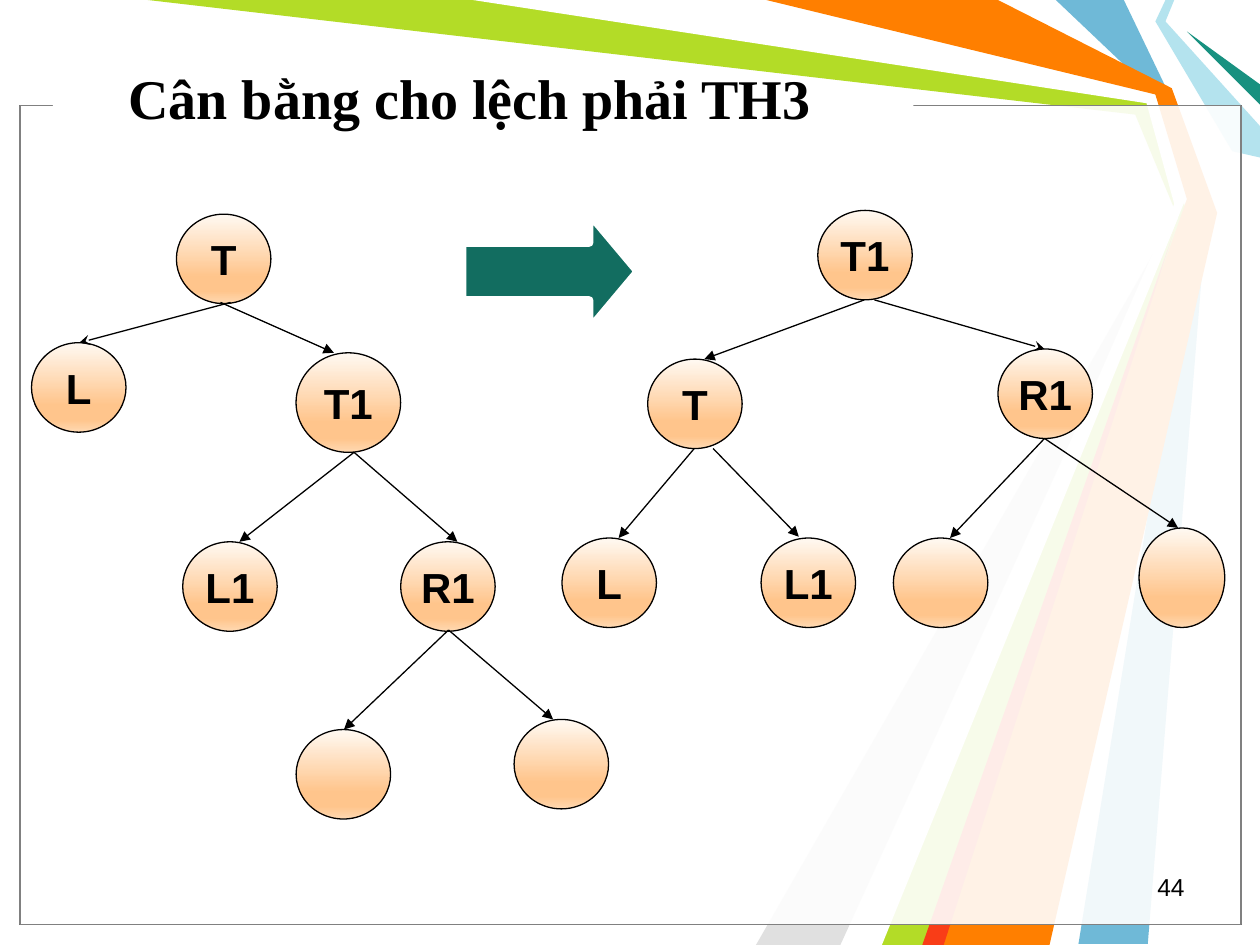
from lxml import etree
from pptx import Presentation
from pptx import util as u
from pptx.dml import color
from pptx.enum import shapes, text
from pptx.oxml import ns

SCALE = 9144
BLACK, WHITE = "000000", "FFFFFF"
NODE_STOPS = [(0, "FFF9F2"), (70, "FFC58C"), (86, "FFC58C"), (100, "FFD9B2")]

RIBBONS = [
    ("6FB9D7", [(892, 0), (929, 77), (958, 167), (911, 749), (856, 749),
                (950, 167), (917, 75), (838, 0)]),
    ("B3DC27", [(117, 0), (383, 0), (914, 78), (942, 169), (742, 750),
                (692, 750), (935, 173), (901, 91)]),
    ("E0E0E0", [(667, 750), (927, 181), (600, 750)]),
    (WHITE, [(375, 0), (910, 82), (932, 162), (675, 750), (700, 750),
             (941, 158), (917, 75), (600, 0)]),
    ("B4E3EE", [(925, 0), (917, 17), (978, 120), (1000, 125), (1000, 100),
                (925, 17), (932, 0)]),
    ("189180", [(1000, 83), (942, 25), (1000, 67)]),
    ("FF7F00", [(608, 0), (792, 0), (930, 70), (966, 169), (833, 750),
                (733, 750), (942, 158), (917, 75)]),
    ("F93D17", [(732, 750), (932, 183), (749, 750)]),
]

BEFORE_NODES = [
    ("T", 115, 0, 75, 71), ("T1", 210, 110, 83, 79), ("L", 0, 102, 75, 71),
    ("R1", 293, 260, 75, 71), ("L1", 120, 260, 75, 71),
    ("", 383, 401, 75, 71), ("", 210, 409, 75, 71),
]
BEFORE_EDGES = [
    (158, 70, 38, 102, "stealth"), (150, 70, 240, 110, "triangle"),
    (256, 189, 338, 260, "triangle"), (256, 189, 165, 260, "triangle"),
    (331, 330, 248, 409, "triangle"), (331, 330, 414, 401, "triangle"),
]
AFTER_NODES = [
    ("R1", 346, 110, 75, 71), ("", 458, 252, 68, 79), ("T1", 203, 0, 75, 71),
    ("", 263, 260, 75, 71), ("T", 68, 118, 75, 71), ("L", 0, 260, 75, 71),
    ("L1", 158, 260, 75, 71),
]
AFTER_EDGES = [
    (248, 71, 383, 110, "stealth"), (383, 181, 489, 252, "triangle"),
    (383, 181, 308, 260, "triangle"), (240, 71, 113, 118, "triangle"),
    (105, 189, 45, 260, "triangle"), (120, 189, 188, 259, "triangle"),
]


def px(*lengths):
    return [u.Emu(length * SCALE) for length in lengths]


def paint(target, value):
    target.rgb = color.RGBColor.from_string(value)


def style(shape, fill=None, line=None, width=0.75, opacity=100):
    shape.shadow.inherit = False
    if fill:
        shape.fill.solid()
        paint(shape.fill.fore_color, fill)
        if opacity < 100:
            hue = shape.fill._xPr.find(".//" + ns.qn("a:srgbClr"))
            etree.SubElement(hue, ns.qn("a:alpha"), val=str(opacity * 1000))
    if line:
        paint(shape.line.color, line)
        shape.line.width = u.Pt(width)
    else:
        shape.line.fill.background()


def shade(shape):
    shape.fill.gradient()
    shape.fill.gradient_angle = 270
    stops = shape.fill._xPr.find(".//" + ns.qn("a:gsLst"))
    for stop in list(stops):
        stops.remove(stop)
    for place, value in NODE_STOPS:
        stop = etree.SubElement(stops, ns.qn("a:gs"), pos=str(place * 1000))
        etree.SubElement(stop, ns.qn("a:srgbClr"), val=value)


def write(frame, words, size, font, align, bold=False):
    para = frame.paragraphs[0]
    para.alignment = align
    span = para.add_run()
    span.text = words
    span.font.size = u.Pt(size)
    span.font.name = font
    span.font.bold = bold
    paint(span.font.color, BLACK)


def add_label(page, box, words, size, font, align, anchor, bold=False):
    frame = page.shapes.add_textbox(*px(*box)).text_frame
    frame.word_wrap = True
    frame.vertical_anchor = anchor
    write(frame, words, size, font, align, bold)


def add_backdrop(page, box):
    left, top, width, height = box
    for fill, points in RIBBONS:
        builder = page.shapes.build_freeform(*points[0], scale=SCALE)
        builder.add_line_segments(points[1:], close=True)
        style(builder.convert_to_shape(*px(left, top)), fill)
    panel = (left + 16, top + 84, width - 31, height - 100)
    for line in (BLACK, "808080"):
        sheet = page.shapes.add_shape(shapes.MSO_SHAPE.RECTANGLE, *px(*panel))
        style(sheet, WHITE, line, opacity=69)
    gap = page.shapes.add_shape(shapes.MSO_SHAPE.RECTANGLE,
                                *px(left + 42, top + 74, 683, 17))
    style(gap, WHITE)


def add_node(page, name, box):
    node = page.shapes.add_shape(shapes.MSO_SHAPE.OVAL, *px(*box))
    style(node, line=BLACK)
    shade(node)
    if name:
        frame = node.text_frame
        frame.word_wrap = False
        frame.vertical_anchor = text.MSO_ANCHOR.MIDDLE
        write(frame, name, 24, "Arial", text.PP_ALIGN.CENTER, True)


def add_edge(page, ends, head):
    edge = page.shapes.add_connector(shapes.MSO_CONNECTOR.STRAIGHT, *px(*ends))
    paint(edge.line.color, BLACK)
    edge.line.width = u.Pt(0.75)
    etree.SubElement(edge.line._get_or_add_ln(), ns.qn("a:tailEnd"), type=head)
    etree.SubElement(edge._element.spPr, ns.qn("a:effectLst"))


def add_tree(page, box, nodes, edges):
    left, top = box[:2]
    for name, x, y, width, height in nodes:
        add_node(page, name, (left + x, top + y, width, height))
    for x1, y1, x2, y2, head in edges:
        add_edge(page, (left + x1, top + y1, left + x2, top + y2), head)


def add_step_arrow(page, box):
    arrow = page.shapes.add_shape(shapes.MSO_SHAPE.RIGHT_ARROW, *px(*box))
    arrow.adjustments[0] = 0.5
    arrow.adjustments[1] = 0.42
    style(arrow, "126D60", WHITE, 4.5)


def main():
    deck = Presentation()
    deck.slide_width, deck.slide_height = px(1000, 750)
    page = deck.slides.add_slide(deck.slide_layouts[6])
    add_backdrop(page, (0, 0, 1000, 750))
    add_label(page, (92, 42, 689, 70), "Cân bằng cho lệch phải TH3", 32,
              "Times New Roman", text.PP_ALIGN.LEFT, text.MSO_ANCHOR.MIDDLE, True)
    add_label(page, (717, 687, 233, 33), "44", 14, "Arial",
              text.PP_ALIGN.RIGHT, text.MSO_ANCHOR.TOP)
    add_tree(page, (25, 170, 458, 480), BEFORE_NODES, BEFORE_EDGES)
    add_tree(page, (446, 167, 526, 331), AFTER_NODES, AFTER_EDGES)
    add_step_arrow(page, (367, 170, 139, 91))
    deck.save("out.pptx")


if __name__ == "__main__":
    main()
